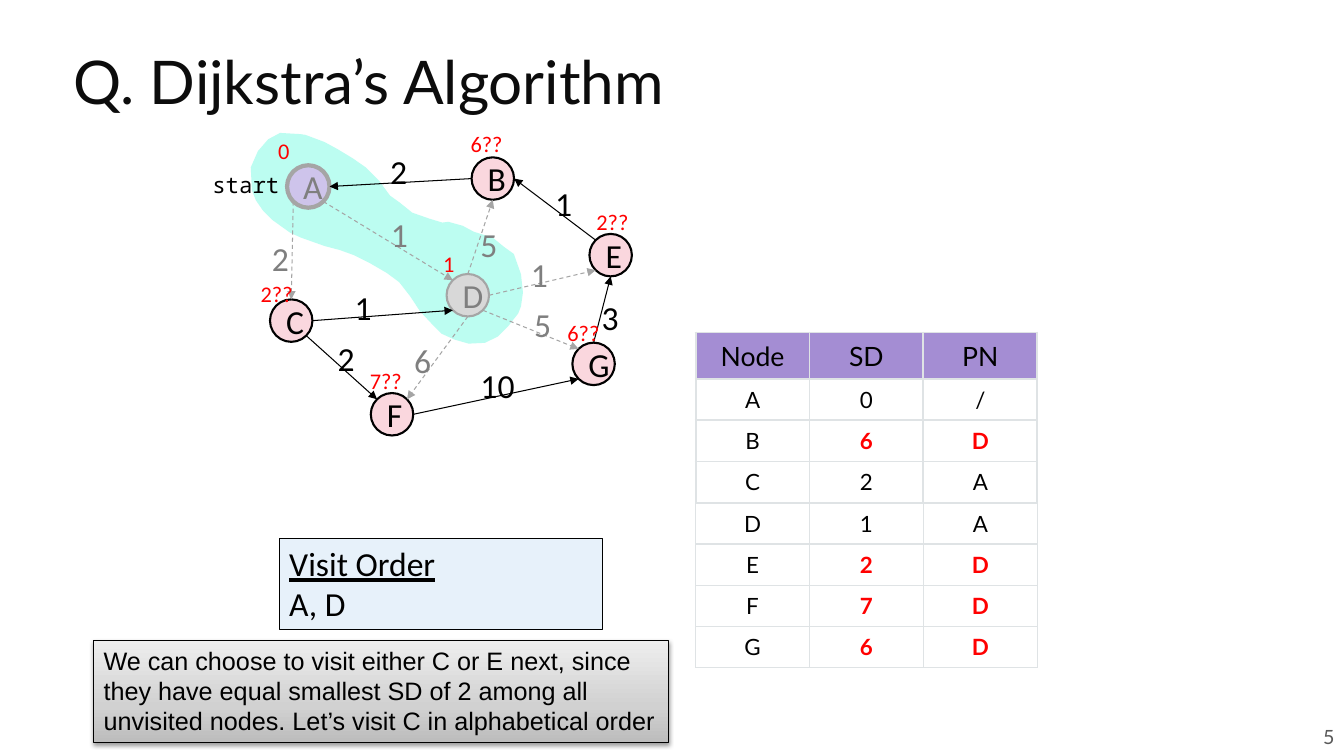
from math import cos, radians, sin

from lxml.etree import SubElement
from pptx import Presentation
from pptx.dml.color import RGBColor
from pptx.enum.dml import MSO_LINE
from pptx.enum.shapes import MSO_CONNECTOR, MSO_SHAPE
from pptx.enum.text import MSO_ANCHOR as Anchor, PP_ALIGN as Align
from pptx.oxml import parse_xml
from pptx.oxml.ns import nsdecls, qn
from pptx.util import Cm, Pt

COLORS = {
    "black": "000000", "white": "FFFFFF", "red": "FF0000", "title": "0C0C0C",
    "page": "595959", "faded": "7F7F7F", "faded_line": "A5A5A5",
    "start": "CEC4EB", "node": "FAD7DE", "visited": "D8D8D8", "region": "BCFDF1",
    "header": "A48DD3", "border": "DFE3E5", "order": "E7F1FA",
    "dark": "BDBDBD", "mid": "D1D1D1", "light": "EEEEEE",
}
DIAMETER = 1.07
TOP, TOP_LEFT, LEFT, BOTTOM_LEFT, BOTTOM, BOTTOM_RIGHT, RIGHT, TOP_RIGHT = range(90, 450, 45)

NODES = {
    "A": (7.77, 4.7, "start", "faded_line", 3),
    "B": (12.42, 4.5, "node", "black", 1.5),
    "C": (7.34, 8.08, "node", "black", 1.5),
    "D": (11.79, 7.44, "visited", "faded_line", 1.5),
    "E": (15.39, 6.43, "node", "black", 1.5),
    "F": (9.88, 10.44, "node", "black", 1.5),
    "G": (14.96, 9.17, "node", "black", 1.5),
}
EDGES = [
    ("A", BOTTOM_LEFT, "C", TOP, "2", 6.6, 5.87),
    ("A", BOTTOM_RIGHT, "D", TOP_LEFT, "1", 9.6, 5.26),
    ("B", LEFT, "A", RIGHT, "2", 9.58, 3.68),
    ("C", RIGHT, "D", BOTTOM_LEFT, "1", 8.69, 7.11),
    ("C", BOTTOM_RIGHT, "F", TOP_LEFT, "2", 8.26, 8.38),
    ("D", TOP, "B", BOTTOM, "5", 11.86, 5.51),
    ("D", RIGHT, "E", BOTTOM_LEFT, "1", 13.13, 6.27),
    ("D", BOTTOM, "F", TOP_RIGHT, "6", 10.19, 8.43),
    ("D", BOTTOM_RIGHT, "G", TOP_LEFT, "5", 13.21, 7.52),
    ("E", TOP_LEFT, "B", RIGHT, "1", 13.74, 4.47),
    ("F", RIGHT, "G", BOTTOM_LEFT, "10", 11.86, 9.07),
    ("G", TOP, "E", BOTTOM, "3", 14.91, 7.34),
]
DISTANCES = [
    ("0", 6.76, 3.33), ("6??", 11.61, 3.15), ("2??", 6.32, 6.93), ("1", 10.92, 6.17),
    ("2??", 14.78, 5.11), ("7??", 9.07, 9.12), ("6??", 14.05, 7.92),
]
ROWS = [("Node", "SD", "PN"), "A0/", "B6D", "C2A", "D1A", "E2D", "F7D", "G6D"]
REGION = [
    (11.15, 5.61), (10.82, 5.51), (10.39, 5.36), (10.08, 5.11), (9.83, 4.93), (9.55, 4.55),
    (9.22, 4.22), (8.89, 3.99), (8.51, 3.76), (8.18, 3.58), (7.7, 3.4), (7.57, 3.38),
    (7.06, 3.35), (6.76, 3.51), (6.5, 3.81), (6.32, 4.22), (6.35, 4.8), (6.45, 5.05),
    (6.63, 5.31), (6.86, 5.54), (7.32, 5.87), (7.59, 5.99), (8.18, 6.2), (8.56, 6.3),
    (8.92, 6.43), (9.32, 6.63), (9.75, 6.88), (10.06, 7.11), (10.34, 7.47), (10.59, 7.85),
    (10.9, 8.18), (11.13, 8.41), (11.46, 8.56), (11.81, 8.66), (12.22, 8.64), (12.55, 8.48),
    (12.8, 8.23), (13.06, 7.9), (13.13, 7.72), (13.18, 7.37), (13.13, 6.91), (12.95, 6.4),
    (12.7, 6.22), (12.42, 5.99), (11.94, 5.84), (11.66, 5.69), (11.3, 5.59),
]


def rgb(name):
    return RGBColor.from_string(COLORS[name])


def write(p, text, size=24, font="Calibri", color="black", bold=False, underline=False,
          align=Align.LEFT):
    p.alignment = align
    r = p.add_run()
    r.text = text
    r.font.size, r.font.name = Pt(size), font
    r.font.bold, r.font.underline = bold, underline
    r.font.color.rgb = rgb(color)


def site(node, angle):
    x, y = NODES[node][:2]
    a = radians(angle)
    return Cm(x + DIAMETER / 2 * cos(a)), Cm(y - DIAMETER / 2 * sin(a))


class Board:
    def __init__(self, slide):
        self.slide = slide
        self.shapes = slide.shapes

    def title(self, text, x, y, w, h):
        s = self.shapes.title
        s.left, s.top, s.width, s.height = Cm(x), Cm(y), Cm(w), Cm(h)
        s.text_frame.vertical_anchor = Anchor.MIDDLE
        p = s.text_frame.paragraphs[0]
        p.line_spacing = 0.9
        write(p, text, size=43, font="Lato", color="title")

    def text(self, text, x, y, w, h, inset=0.13, anchor=Anchor.TOP, **fmt):
        tf = self.shapes.add_textbox(Cm(x), Cm(y), Cm(w), Cm(h)).text_frame
        tf.word_wrap = True
        tf.vertical_anchor = anchor
        tf.margin_top = tf.margin_bottom = Cm(inset)
        write(tf.paragraphs[0], text, **fmt)

    def paint(self, s, fill, line=None, width=0.75):
        s.shadow.inherit = False
        s.fill.solid()
        s.fill.fore_color.rgb = rgb(fill)
        if line:
            s.line.color.rgb = rgb(line)
            s.line.width = Pt(width)
        else:
            s.line.fill.background()

    def shape(self, kind, x, y, w, h, fill, line="black", width=0.75, anchor=Anchor.TOP):
        s = self.shapes.add_shape(kind, Cm(x), Cm(y), Cm(w), Cm(h))
        self.paint(s, fill, line, width)
        s.text_frame.word_wrap = True
        s.text_frame.vertical_anchor = anchor
        return s

    def region(self, points, fill):
        pts = [(Cm(x), Cm(y)) for x, y in points]
        fb = self.shapes.build_freeform(*pts[0])
        fb.add_line_segments(pts[1:], close=True)
        self.paint(fb.convert_to_shape(), fill)

    def node(self, name, x, y, fill, line, width):
        s = self.shape(MSO_SHAPE.OVAL, x - DIAMETER / 2, y - DIAMETER / 2, DIAMETER, DIAMETER,
                       fill, line, width, Anchor.MIDDLE)
        color = "faded" if line == "faded_line" else "black"
        write(s.text_frame.paragraphs[0], name, color=color, align=Align.CENTER)

    def arrow(self, start, end, faded):
        s = self.shapes.add_connector(MSO_CONNECTOR.STRAIGHT, *start, *end)
        s.line.color.rgb = rgb("faded_line" if faded else "black")
        s.line.width = Pt(0.75)
        if faded:
            s.line.dash_style = MSO_LINE.DASH
        SubElement(s.line._get_or_add_ln(), qn("a:tailEnd"), type="triangle")
        SubElement(s._element.spPr, qn("a:effectLst"))

    def borders(self, cell, widths):
        tcPr = cell._tc.get_or_add_tcPr()
        for i, (side, width) in enumerate(zip("LRTB", widths)):
            tcPr.insert(i, parse_xml(
                f'<a:ln{side} {nsdecls("a")} w="{Pt(width)}"><a:solidFill>'
                f'<a:srgbClr val="{COLORS["border"]}"/></a:solidFill></a:ln{side}>'))

    def table(self, rows, x, y, col_w, head_h, row_h):
        height = head_h + row_h * (len(rows) - 1)
        tbl = self.shapes.add_table(len(rows), 3, Cm(x), Cm(y), Cm(col_w * 3), Cm(height)).table
        for col in tbl.columns:
            col.width = Cm(col_w)
        for i, row in enumerate(rows):
            tbl.rows[i].height = Cm(row_h if i else head_h)
            side = 1.5 if i < 4 else 1
            for j, value in enumerate(row):
                cell = tbl.cell(i, j)
                cell.fill.solid()
                cell.fill.fore_color.rgb = rgb("white" if i else "header")
                cell.vertical_anchor = Anchor.MIDDLE
                cell.margin_left = cell.margin_right = Cm(0.18)
                cell.margin_top = cell.margin_bottom = Cm(0.18)
                updated = j > 0 and row[2] == "D"
                write(cell.text_frame.paragraphs[0], value, size=16 if i else 19, font="Lato",
                      color="red" if updated else "black", bold=updated, align=Align.CENTER)
                self.borders(cell, (side, side, 1.5 if i < 5 else 1, side))

    def note(self, text, x, y, w, h):
        s = self.shape(MSO_SHAPE.RECTANGLE, x, y, w, h, "light")
        spPr = s._element.spPr
        stops = "".join(f'<a:gs pos="{pos}"><a:srgbClr val="{COLORS[c]}"/></a:gs>'
                        for pos, c in ((0, "dark"), (35000, "mid"), (100000, "light")))
        spPr.replace(spPr.find(qn("a:solidFill")), parse_xml(
            f'<a:gradFill {nsdecls("a")}><a:gsLst>{stops}</a:gsLst>'
            '<a:lin ang="16200000" scaled="0"/></a:gradFill>'))
        spPr.find(qn("a:effectLst")).append(parse_xml(
            f'<a:outerShdw {nsdecls("a")} blurRad="40000" dist="20000" dir="5400000">'
            f'<a:srgbClr val="{COLORS["black"]}"><a:alpha val="38000"/></a:srgbClr>'
            '</a:outerShdw>'))
        write(s.text_frame.paragraphs[0], text, size=18, font="Arial")


def main():
    prs = Presentation()
    prs.slide_width, prs.slide_height = Cm(33.87), Cm(19.05)
    board = Board(prs.slides.add_slide(prs.slide_layouts[5]))

    board.title("Q. Dijkstra’s Algorithm", 1.6, 0.74, 31.06, 2.82)
    board.text("5", 32.28, 18.01, 1.6, 1.09, inset=0.25, anchor=Anchor.MIDDLE,
               size=14, font="Lato", color="page", align=Align.RIGHT)
    board.table(ROWS, 17.53, 8.38, 2.87, 1.17, 1.04)
    board.region(REGION, "region")

    order = board.shape(MSO_SHAPE.RECTANGLE, 7.04, 13.56, 8.15, 2.31, "order")
    write(order.text_frame.paragraphs[0], "Visit Order", underline=True)
    write(order.text_frame.add_paragraph(), "A, D")

    for name, style in NODES.items():
        board.node(name, *style)
    for a, out, b, into, weight, x, y in EDGES:
        faded = a in "AD"
        board.arrow(site(a, out), site(b, into), faded)
        board.text(weight, x, y, 0.51 + 0.43 * len(weight), 1.27,
                   color="faded" if faded else "black")
    for value, x, y in DISTANCES:
        board.text(value, x, y, 1.32 if len(value) > 1 else 0.81, 0.94, size=16, color="red")

    board.text("start", 4.6, 3.99, 2.69, 1.32, inset=0.33, size=16, font="Noto Sans Mono",
               align=Align.RIGHT)
    board.note("We can choose to visit either C or E next, since they have equal smallest SD "
               "of 2 among all unvisited nodes. Let’s visit C in alphabetical order",
               2.36, 16.13, 14.5, 2.57)
    prs.save("out.pptx")


if __name__ == "__main__":
    main()
